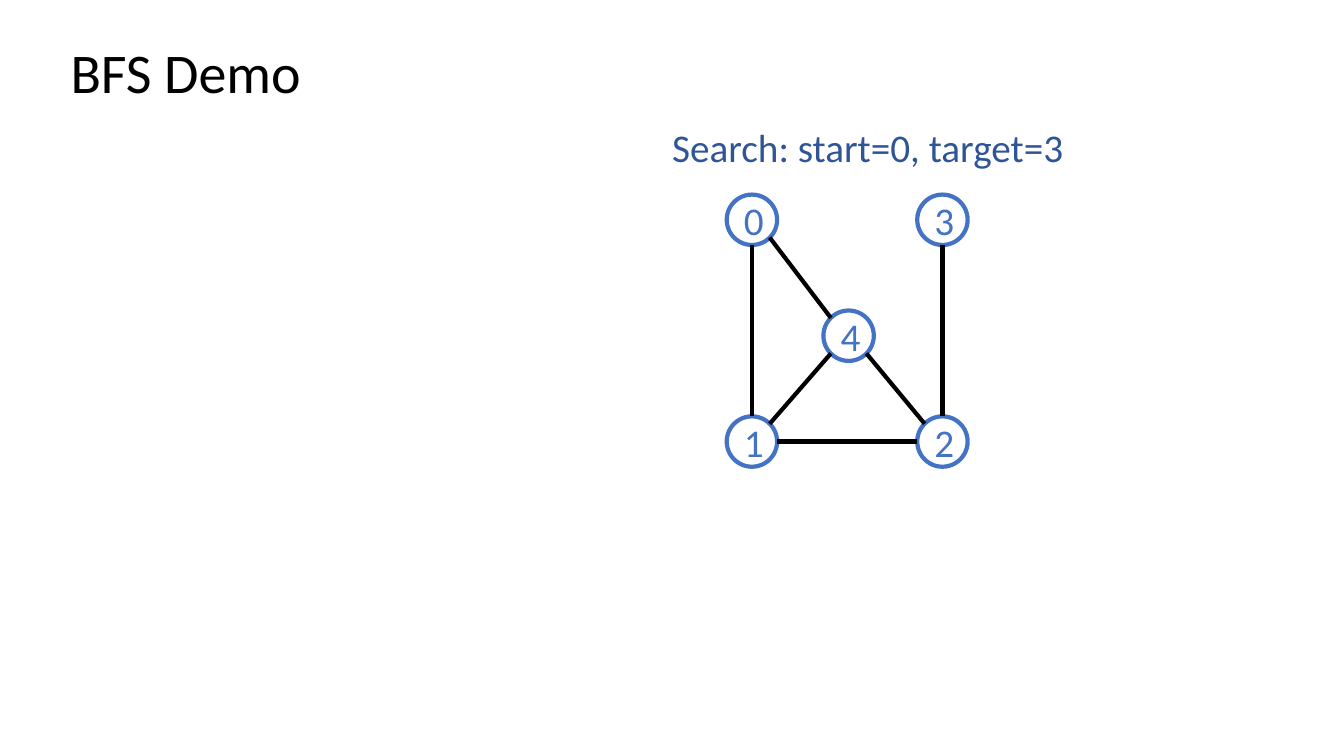
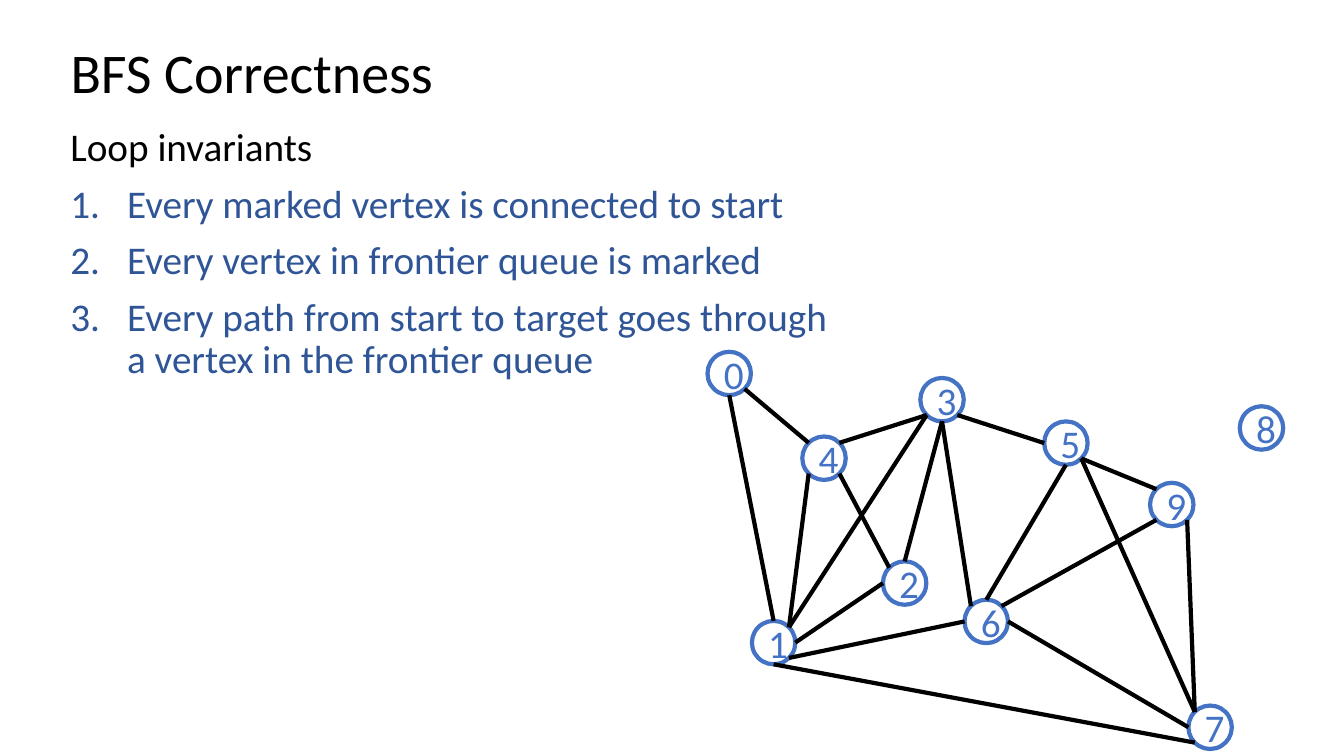
from math import sqrt

from lxml import etree
from pptx import Presentation
from pptx.dml.color import RGBColor
from pptx.enum.shapes import MSO_CONNECTOR, MSO_SHAPE
from pptx.enum.text import MSO_ANCHOR, MSO_AUTO_SIZE, PP_ALIGN
from pptx.oxml.ns import qn
from pptx.util import Pt

# Shared style
COLORS = {"black": "000000", "white": "FFFFFF", "node": "4472C4", "text": "2F5597"}
FONT = "Calibri"
TITLE_SIZE, TEXT_SIZE = 40, 28
LINE_WIDTH = 3
LEFT = 43.2
BODY_TOP = 88
NUMBER_INDENT = 40.5

# Unit offsets from a node's centre to the points where edges attach
DIAGONAL = 1 / sqrt(2)
SITES = {
    "N": (0, -1), "S": (0, 1), "W": (-1, 0), "E": (1, 0),
    "NW": (-DIAGONAL, -DIAGONAL), "NE": (DIAGONAL, -DIAGONAL),
    "SW": (-DIAGONAL, DIAGONAL), "SE": (DIAGONAL, DIAGONAL),
}

# Graphs: node label -> left, top; edge -> label, site, label, site
DEMO_NODES = {
    "0": (519.1, 139), "3": (655.2, 139), "4": (588.2, 221.8),
    "1": (519.1, 297.4), "2": (655.2, 297.4),
}
DEMO_EDGES = [
    ("0", "SE", "4", "NW"), ("0", "S", "1", "N"), ("1", "NE", "4", "SW"),
    ("2", "NW", "4", "SE"), ("1", "E", "2", "W"), ("3", "S", "2", "N"),
]
PROOF_NODES = {
    "0": (505.4, 251.3), "3": (657.4, 270), "4": (573.1, 311.8),
    "1": (537.1, 443.5), "2": (630.7, 401), "5": (745.9, 301),
    "8": (885.6, 290.2), "9": (821.5, 344.9), "6": (689, 428.4),
    "7": (848.9, 504),
}
PROOF_EDGES = [
    ("0", "SE", "4", "NW"), ("0", "S", "1", "N"), ("1", "NE", "4", "SW"),
    ("2", "NW", "4", "SE"), ("1", "E", "2", "W"), ("3", "S", "2", "N"),
    ("5", "SE", "9", "NW"), ("5", "S", "6", "N"), ("6", "NE", "9", "SW"),
    ("7", "NW", "9", "SE"), ("6", "E", "7", "W"), ("3", "SE", "5", "W"),
    ("3", "S", "6", "NW"), ("5", "SE", "7", "NW"), ("3", "SW", "4", "NE"),
    ("6", "W", "1", "SE"), ("7", "SW", "1", "S"), ("3", "SW", "1", "NE"),
]
INVARIANTS = [
    "Every marked vertex is connected to start",
    "Every vertex in frontier queue is marked",
    "Every path from start to target goes through a vertex in the frontier queue",
]


def rgb(name):
    return RGBColor.from_string(COLORS[name])


def write(paragraph, text, color, size=TEXT_SIZE):
    run = paragraph.add_run()
    run.text = text
    run.font.name = FONT
    run.font.size = Pt(size)
    run.font.color.rgb = rgb(color)


def add_titled_slide(prs, title):
    slide = prs.slides.add_slide(prs.slide_layouts[5])
    shape = slide.shapes.title
    shape.left, shape.top, shape.width, shape.height = map(Pt, (LEFT, 28.8, 828, 49.7))
    frame = shape.text_frame
    frame.auto_size = MSO_AUTO_SIZE.NONE
    frame.vertical_anchor = MSO_ANCHOR.MIDDLE
    paragraph = frame.paragraphs[0]
    paragraph.alignment = PP_ALIGN.LEFT
    paragraph.line_spacing = 0.9
    write(paragraph, title, "black", TITLE_SIZE)
    return slide


def number_paragraph(paragraph):
    props = paragraph._p.get_or_add_pPr()
    props.set("marL", str(Pt(NUMBER_INDENT)))
    props.set("indent", str(-Pt(NUMBER_INDENT)))
    etree.SubElement(props, qn("a:buFont"), typeface="+mj-lt")
    etree.SubElement(props, qn("a:buAutoNum"), type="arabicPeriod")


def add_text(slide, left, width, height, lines):
    """Each line is (text, colour, numbered)."""
    frame = slide.shapes.add_textbox(Pt(left), Pt(BODY_TOP), Pt(width), Pt(height)).text_frame
    frame.word_wrap = True
    for index, (text, color, numbered) in enumerate(lines):
        paragraph = frame.add_paragraph() if index else frame.paragraphs[0]
        paragraph.line_spacing = 0.9
        paragraph.space_before = Pt(10)
        if numbered:
            number_paragraph(paragraph)
        write(paragraph, text, color)


def add_node(slide, label, left, top, size):
    node = slide.shapes.add_shape(MSO_SHAPE.OVAL, Pt(left), Pt(top), Pt(size), Pt(size))
    node.shadow.inherit = False
    node.fill.solid()
    node.fill.fore_color.rgb = rgb("white")
    node.line.color.rgb = rgb("node")
    node.line.width = Pt(LINE_WIDTH)
    node.text_frame.vertical_anchor = MSO_ANCHOR.MIDDLE
    paragraph = node.text_frame.paragraphs[0]
    paragraph.alignment = PP_ALIGN.CENTER
    write(paragraph, label, "node")


def add_edge(slide, start, end):
    edge = slide.shapes.add_connector(MSO_CONNECTOR.STRAIGHT, *map(Pt, start + end))
    edge.line.color.rgb = rgb("black")
    edge.line.width = Pt(LINE_WIDTH)
    etree.SubElement(edge._element.spPr, qn("a:effectLst"))


def add_graph(slide, nodes, edges, size):
    radius = size / 2

    def site_point(label, site):
        return tuple(corner + radius * (1 + unit)
                     for corner, unit in zip(nodes[label], SITES[site]))

    for label, (left, top) in nodes.items():
        add_node(slide, label, left, top, size)
    for first, first_site, second, second_site in edges:
        add_edge(slide, site_point(first, first_site), site_point(second, second_site))


def main():
    prs = Presentation()
    prs.slide_width, prs.slide_height = Pt(960), Pt(540)

    # Demo graph
    slide = add_titled_slide(prs, "BFS Demo")
    add_text(slide, 473, 320.4, 42.5, [("Search: start=0, target=3", "text", False)])
    add_graph(slide, DEMO_NODES, DEMO_EDGES, 36)

    # Loop invariants
    slide = add_titled_slide(prs, "BFS Correctness")
    add_graph(slide, PROOF_NODES, PROOF_EDGES, 31)
    add_text(slide, LEFT, 565.2, 309.6,
             [("Loop invariants", "black", False)]
             + [(text, "text", True) for text in INVARIANTS])

    prs.save("out.pptx")


main()
